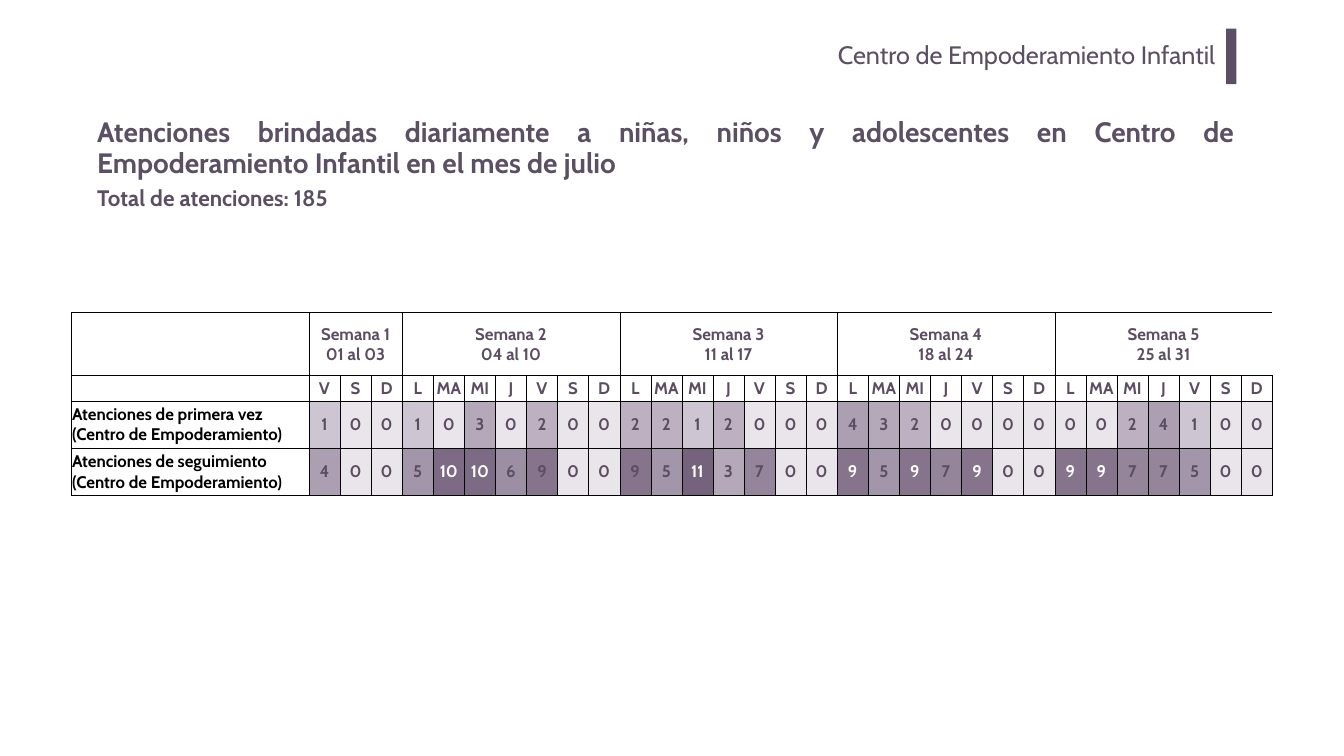
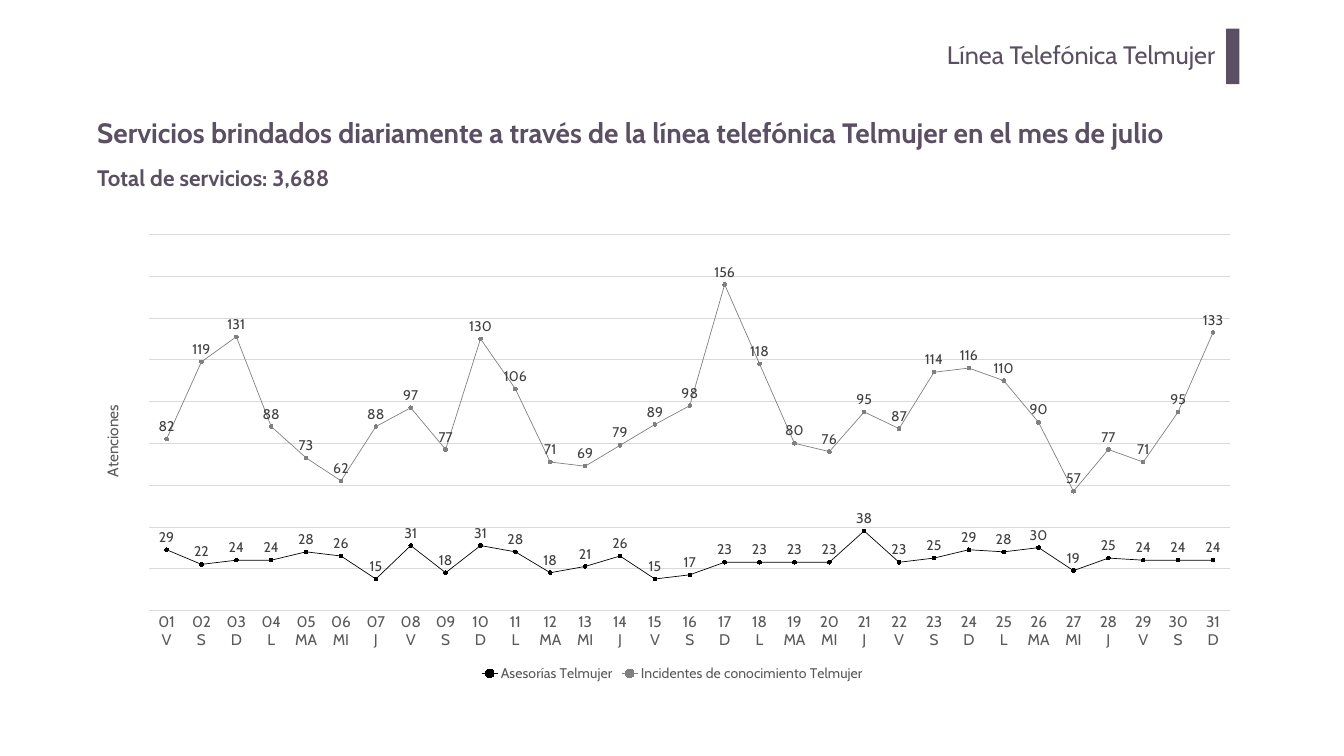
import pptx
import pptx.chart.data
import pptx.dml.color
import pptx.enum.chart
import pptx.enum.shapes
import pptx.enum.text
import pptx.oxml
import pptx.oxml.ns
import pptx.util

Pt = pptx.util.Pt
qn = pptx.oxml.ns.qn
ALIGN = pptx.enum.text.PP_ALIGN
ANCHOR = pptx.enum.text.MSO_ANCHOR

# Shared style
FONT = "Cabin"
PLUM, TABLE_PLUM = "5B4F63", "5C4D62"
BLACK, WHITE, GRAY = "000000", "FFFFFF", "808080"
AXIS_TEXT, LABEL_TEXT, GRID = "595959", "404040", "D9D9D9"

# Slide texts
CENTER = {
    "section": "Centro de Empoderamiento Infantil",
    "bar_width": 14.4,
    "title": "Atenciones brindadas diariamente a niñas, niños y adolescentes en "
             "Centro de Empoderamiento Infantil en el mes de julio",
    "title_box": (131.76, 160.56, 1638.72, 104.4),
    "total": "Total de atenciones: 185",
    "total_box": (131.76, 259.92, 406.08, 46.08),
}
PHONE_LINE = {
    "section": "Línea Telefónica Telmujer",
    "bar_width": 18.72,
    "title": "Servicios brindados diariamente a través de la línea telefónica "
             "Telmujer en el mes de julio",
    "title_box": (131.76, 139.68, 1573.2, 104.4),
    "total": "Total de servicios: 3,688",
    "total_box": (131.76, 231.12, 584.64, 46.08),
}

# Table data: July starts on a Friday
WEEKDAYS = ["L", "MA", "MI", "J", "V", "S", "D"]
DAYS = [WEEKDAYS[(day + 4) % 7] for day in range(31)]
WEEKS = [("Semana 1\v01 al 03", 3), ("Semana 2\v04 al 10", 7),
         ("Semana 3\v11 al 17", 7), ("Semana 4\v18 al 24", 7),
         ("Semana 5\v25 al 31", 7)]
ATTENTIONS = [
    ("Atenciones de primera vez (Centro de Empoderamiento)",
     [1, 0, 0, 1, 0, 3, 0, 2, 0, 0, 2, 2, 1, 2, 0, 0, 0,
      4, 3, 2, 0, 0, 0, 0, 0, 0, 2, 4, 1, 0, 0]),
    ("Atenciones de seguimiento (Centro de Empoderamiento)",
     [4, 0, 0, 5, 10, 10, 6, 9, 0, 0, 9, 5, 11, 3, 7, 0, 0,
      9, 5, 9, 7, 9, 0, 0, 9, 9, 7, 7, 5, 0, 0]),
]
HEAT = {0: "E9E5EB", 1: "CDC5D1", 2: "BCB0C1", 3: "B4A8B9", 4: "AC9FB2",
        5: "A496AA", 6: "9C8EA3", 7: "95859B", 9: "85748C", 10: "7D6B85",
        11: "75627D"}
DARK_NINES = (8, 11)  # days whose 9 keeps the dark text
ROW_HEIGHTS = (90, 36, 67.68, 67.68)
LABEL_WIDTH, DAY_WIDTH = 339.12, 44.41

# Chart data
SERVICES = [
    ("Asesorías Telmujer", BLACK,
     [29, 22, 24, 24, 28, 26, 15, 31, 18, 31, 28, 18, 21, 26, 15, 17,
      23, 23, 23, 23, 38, 23, 25, 29, 28, 30, 19, 25, 24, 24, 24]),
    ("Incidentes de conocimiento Telmujer", GRAY,
     [82, 119, 131, 88, 73, 62, 88, 97, 77, 130, 106, 71, 69, 79, 89, 98,
      156, 118, 80, 76, 95, 87, 114, 116, 110, 90, 57, 77, 71, 95, 133]),
]


def color(value):
    return pptx.dml.color.RGBColor.from_string(value)


def points(*lengths):
    return [Pt(length) for length in lengths]


def set_font(font, size, value, bold=False):
    font.name, font.size, font.bold = FONT, Pt(size), bold
    font.color.rgb = color(value)


def set_line(line, value, width):
    line.color.rgb = color(value)
    line.width = Pt(width)


def add_text(slide, box, text, size, bold=False, align=ALIGN.LEFT,
             anchor=ANCHOR.TOP, insets=(7.2, 3.6)):
    frame = slide.shapes.add_textbox(*points(*box)).text_frame
    frame.word_wrap = True
    frame.vertical_anchor = anchor
    frame.margin_left = frame.margin_right = Pt(insets[0])
    frame.margin_top = frame.margin_bottom = Pt(insets[1])
    paragraph = frame.paragraphs[0]
    paragraph.text = text
    paragraph.alignment = align
    set_font(paragraph.font, size, PLUM, bold)
    return frame


def add_page(presentation, page):
    slide = presentation.slides.add_slide(presentation.slide_layouts[6])
    add_text(slide, (288.72, 48.24, 1461.6, 73.44), page["section"], 36,
             align=ALIGN.RIGHT, insets=(14.4, 7.2))
    bar = slide.shapes.add_shape(
        pptx.enum.shapes.MSO_SHAPE.RECTANGLE,
        *points(1751.76, 41.04, page["bar_width"], 79.2))
    bar.shadow.inherit = False
    bar.fill.solid()
    bar.fill.fore_color.rgb = color(PLUM)
    bar.line.fill.background()
    title = add_text(slide, page["title_box"], page["title"], 40, True,
                     ALIGN.JUSTIFY, ANCHOR.MIDDLE)
    title.paragraphs[0].line_spacing = 0.9
    total = add_text(slide, page["total_box"], page["total"], 32, True)
    total.auto_size = pptx.enum.text.MSO_AUTO_SIZE.SHAPE_TO_FIT_TEXT
    return slide


def set_borders(cell, sides):
    properties = cell._tc.get_or_add_tcPr()
    for index, side in enumerate(sides):
        properties.insert(index, pptx.oxml.parse_xml(
            f'<a:ln{side} {pptx.oxml.ns.nsdecls("a")} w="6350"><a:solidFill>'
            f'<a:srgbClr val="{BLACK}"/></a:solidFill></a:ln{side}>'))


def fill_cell(cell, text="", value=TABLE_PLUM, fill=None, align=ALIGN.CENTER,
              sides="LRTB"):
    cell.margin_left = cell.margin_right = cell.margin_top = Pt(0.72)
    cell.margin_bottom = 0
    cell.vertical_anchor = ANCHOR.MIDDLE
    if fill:
        cell.fill.solid()
        cell.fill.fore_color.rgb = color(fill)
    else:
        cell.fill.background()
    set_borders(cell, sides)
    paragraph = cell.text_frame.paragraphs[0]
    if text:
        paragraph.text = text
    paragraph.alignment = align
    set_font(paragraph.font, 24, value, True)


def add_attention_table(slide):
    width = LABEL_WIDTH + DAY_WIDTH * len(DAYS)
    table = slide.shapes.add_table(
        len(ROW_HEIGHTS), len(DAYS) + 1,
        *points(102.24, 446.4, width, sum(ROW_HEIGHTS))).table
    table.first_row = table.horz_banding = False
    for row, height in zip(table.rows, ROW_HEIGHTS):
        row.height = Pt(height)
    for index, column in enumerate(table.columns):
        column.width = Pt(DAY_WIDTH if index else LABEL_WIDTH)

    # Weeks and weekdays
    fill_cell(table.cell(0, 0))
    fill_cell(table.cell(1, 0))
    start = 1
    for text, span in WEEKS:
        end = start + span - 1
        sides = "LTB" if end == len(DAYS) else "LRTB"
        for column in range(start, end + 1):
            fill_cell(table.cell(0, column), text if column == start else "",
                      sides=sides)
        table.cell(0, start).merge(table.cell(0, end))
        start = end + 1
    for column, day in enumerate(DAYS, 1):
        fill_cell(table.cell(1, column), day)

    # Daily counts
    for row, (label, counts) in enumerate(ATTENTIONS, 2):
        fill_cell(table.cell(row, 0), label, BLACK, align=ALIGN.LEFT)
        for column, count in enumerate(counts, 1):
            light = count >= 9 and column not in DARK_NINES
            fill_cell(table.cell(row, column), str(count),
                      WHITE if light else TABLE_PLUM, HEAT[count])


def set_layout(parent, position, inner=False, **fractions):
    for old in parent.findall(qn("c:layout")):
        parent.remove(old)
    target = '<c:layoutTarget val="inner"/>' if inner else ""
    modes = '<c:xMode val="edge"/><c:yMode val="edge"/>'
    sizes = "".join(f'<c:{name} val="{value}"/>'
                    for name, value in fractions.items())
    parent.insert(position, pptx.oxml.parse_xml(
        f'<c:layout {pptx.oxml.ns.nsdecls("c")}><c:manualLayout>'
        f'{target}{modes}{sizes}</c:manualLayout></c:layout>'))


def add_service_chart(slide):
    data = pptx.chart.data.CategoryChartData()
    data.categories = [f"{number:02}\n{day}"
                       for number, day in enumerate(DAYS, 1)]
    for name, _, values in SERVICES:
        data.add_series(name, values)
    chart = slide.shapes.add_chart(
        pptx.enum.chart.XL_CHART_TYPE.LINE_MARKERS,
        *points(128.16, 321.12, 1664.64, 657.36), data).chart
    chart.has_title = False
    chart.font.name, chart.font.size = "Arial", Pt(10)
    chart.font.color.rgb = color(BLACK)
    chart.has_legend = True
    chart.legend.position = pptx.enum.chart.XL_LEGEND_POSITION.BOTTOM
    chart.legend.include_in_layout = False
    set_font(chart.legend.font, 20, AXIS_TEXT)

    # Series
    plot = chart.plots[0]
    plot.vary_by_categories = False
    for series, (_, shade, _) in zip(plot.series, SERVICES):
        series.smooth = False
        set_line(series.format.line, shade, 1)
        marker = series.marker
        marker.style = pptx.enum.chart.XL_MARKER_STYLE.CIRCLE
        marker.size = 5
        marker.format.fill.solid()
        marker.format.fill.fore_color.rgb = color(shade)
        set_line(marker.format.line, shade, 0.75)
        labels = series.data_labels
        labels.show_value = True
        labels.position = pptx.enum.chart.XL_LABEL_POSITION.ABOVE
        set_font(labels.font, 20, LABEL_TEXT)

    # Axes
    days = chart.category_axis
    days.major_tick_mark = pptx.enum.chart.XL_TICK_MARK.NONE
    set_font(days.tick_labels.font, 22, AXIS_TEXT)
    set_line(days.format.line, GRID, 0.75)
    counts = chart.value_axis
    counts.minimum_scale, counts.maximum_scale = 0, 180
    counts.major_unit = 20
    counts.has_major_gridlines = True
    set_line(counts.major_gridlines.format.line, GRID, 0.75)
    counts.visible = False
    frame = counts.axis_title.text_frame
    frame.text = "Atenciones"
    set_font(frame.paragraphs[0].font, 22, AXIS_TEXT)

    # Places of the plot and the axis title
    plot_area = chart.element.find(".//" + qn("c:plotArea"))
    title = plot_area.find(".//" + qn("c:title"))
    body = title.find(".//" + qn("a:bodyPr"))
    body.set("rot", "-5400000")
    body.set("vert", "horz")
    set_layout(title, 1, x=0.008, y=0.386)
    set_layout(plot_area, 0, inner=True, x=0.051, y=0.021, w=0.928, h=0.817)


def main():
    presentation = pptx.Presentation()
    presentation.slide_width, presentation.slide_height = points(1920, 1080)
    add_attention_table(add_page(presentation, CENTER))
    add_service_chart(add_page(presentation, PHONE_LINE))
    presentation.save("out.pptx")


if __name__ == "__main__":
    main()
